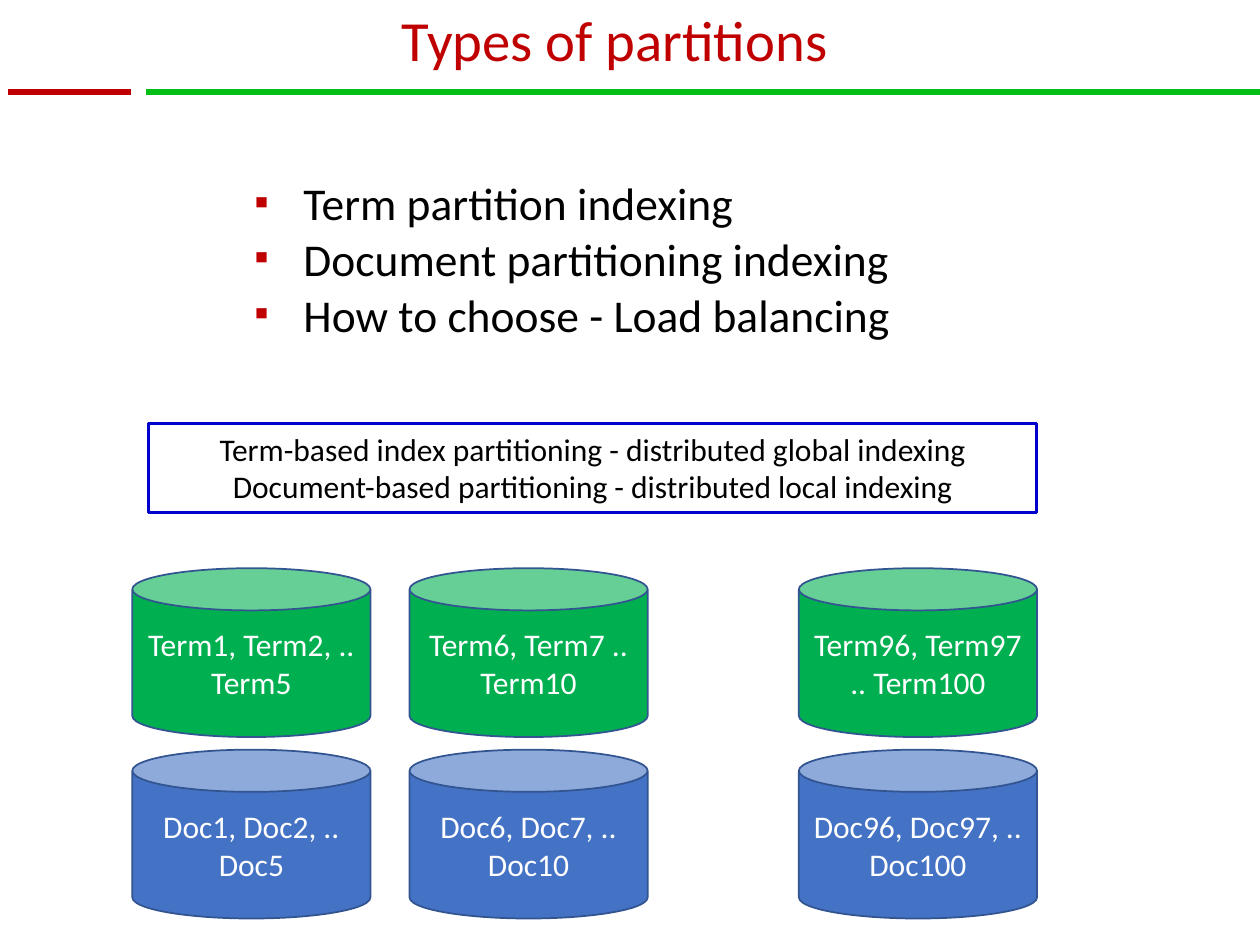
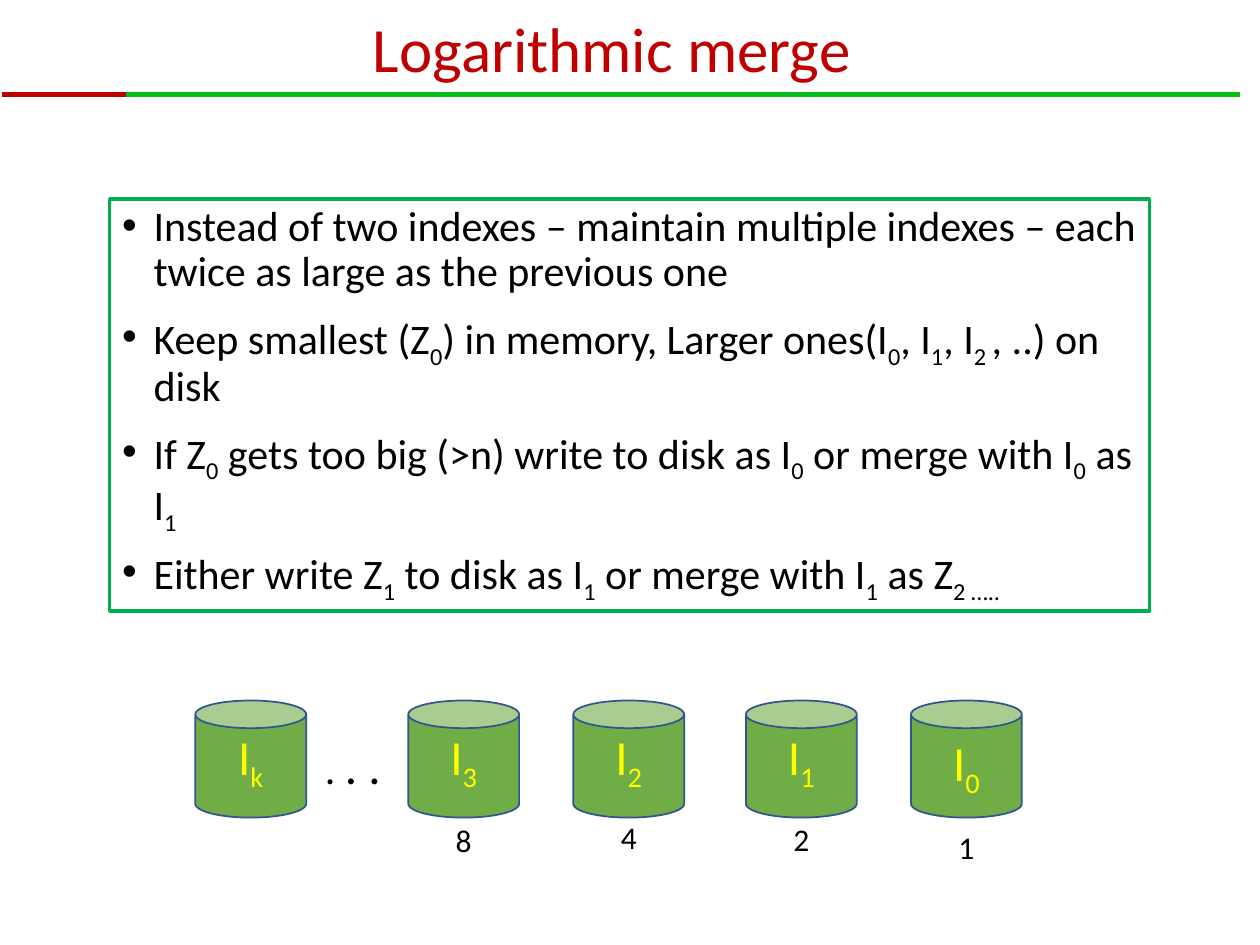
from lxml import etree
from pptx import Presentation
from pptx.dml.color import RGBColor
from pptx.enum.shapes import MSO_CONNECTOR, MSO_SHAPE
from pptx.enum.text import MSO_ANCHOR, MSO_AUTO_SIZE, PP_ALIGN
from pptx.oxml.ns import qn
from pptx.util import Inches, Pt

CAN, RECT = MSO_SHAPE.CAN, MSO_SHAPE.RECTANGLE
STRAIGHT = MSO_CONNECTOR.STRAIGHT
TOP, MIDDLE = MSO_ANCHOR.TOP, MSO_ANCHOR.MIDDLE
LEFT, CENTER = PP_ALIGN.LEFT, PP_ALIGN.CENTER
NO_FIT = MSO_AUTO_SIZE.NONE

FONT = "Calibri"
RED = RGBColor(0xC0, 0x00, 0x00)
RULE_GREEN = RGBColor(0x04, 0xC0, 0x16)
GREEN = RGBColor(0x00, 0xB0, 0x50)
LEAF = RGBColor(0x70, 0xAD, 0x47)
BLUE = RGBColor(0x44, 0x72, 0xC4)
NOTE_BLUE = RGBColor(0x00, 0x00, 0xCC)
EDGE = RGBColor(0x32, 0x54, 0x91)
YELLOW = RGBColor(0xFF, 0xFF, 0x00)
BLACK = RGBColor(0x00, 0x00, 0x00)
WHITE = RGBColor(0xFF, 0xFF, 0xFF)

SUB = "~"  # text between two of these marks is set as subscript
TITLE_FORMAT = {"alignment": LEFT, "line_spacing": 0.9}
TOPIC_FORMAT = {"line_spacing": 0.7, "space_before": Pt(10)}
STEP_FORMAT = {"line_spacing": 0.9, "space_before": Pt(10)}
CENTERED = {"alignment": CENTER}


def add_run(p, text, size, color):
    r = p.add_run()
    r.text = text
    r.font.name, r.font.size = FONT, Pt(size)
    r.font.color.rgb = color
    return r


def write(tf, lines, size, color, fmt, anchor=TOP):
    """Fill a text frame with one paragraph for each line."""
    for name, value in {"word_wrap": True, "auto_size": NO_FIT,
                        "vertical_anchor": anchor}.items():
        setattr(tf, name, value)
    for i, line in enumerate(lines):
        p = tf.add_paragraph() if i else tf.paragraphs[0]
        for name, value in fmt.items():
            setattr(p, name, value)
        for j, part in enumerate(line.split(SUB)):
            if part:
                r = add_run(p, part, size, color)
                if j % 2:
                    r._r.get_or_add_rPr().set("baseline", "-25000")


def add_bullets(tf, char, margin, hanging, color=None, percent=100):
    for p in tf.paragraphs:
        pPr = p._p.get_or_add_pPr()
        pPr.set("marL", str(Inches(margin)))
        pPr.set("indent", str(-Inches(hanging)))
        if color is not None:
            clr = etree.SubElement(pPr, qn("a:buClr"))
            etree.SubElement(clr, qn("a:srgbClr"), val=str(color))
        etree.SubElement(pPr, qn("a:buSzPct"), val=str(percent * 1000))
        etree.SubElement(pPr, qn("a:buFont"), typeface="Arial")
        etree.SubElement(pPr, qn("a:buChar"), char=char)


def add_box(slide, kind, box, fill, edge, weight):
    sp = slide.shapes.add_shape(kind, *map(Inches, box))
    sp.shadow.inherit = False
    if fill is None:
        sp.fill.background()
    else:
        sp.fill.solid()
        sp.fill.fore_color.rgb = fill
    sp.line.color.rgb, sp.line.width = edge, Pt(weight)
    return sp


def add_text(slide, box):
    return slide.shapes.add_textbox(*map(Inches, box)).text_frame


def add_header(prs, text, box, size, rule_y, rules):
    """Start a slide with its title and the two-coloured rule below."""
    slide = prs.slides.add_slide(prs.slide_layouts[5])
    title = slide.shapes.title
    title.left, title.top, title.width, title.height = map(Inches, box)
    write(title.text_frame, [text], size, RED, TITLE_FORMAT, MIDDLE)
    for (x1, x2), color in zip(rules, (RED, RULE_GREEN)):
        line = slide.shapes.add_connector(
            STRAIGHT, Inches(x1), Inches(rule_y), Inches(x2), Inches(rule_y))
        line.line.color.rgb, line.line.width = color, Pt(3.25)
        etree.SubElement(line._element.spPr, qn("a:effectLst"))
    return slide


def add_topics(slide, box, topics):
    tf = add_text(slide, box)
    write(tf, topics, 26, BLACK, TOPIC_FORMAT)
    add_bullets(tf, "▪", 0.69, 0.39, RED, 90)


def add_note(slide, box, lines):
    sp = add_box(slide, RECT, box, None, NOTE_BLUE, 1.75)
    write(sp.text_frame, lines, 18, BLACK, CENTERED)


def add_partitions(slide, box, rows):
    """Rows of cans, with a wider gap before the last column."""
    left, top, width, height = box
    can_w, can_h = 1.89, 1.34
    columns = (left, left + 2.2, left + width - can_w)
    pitch = height - can_h
    for i, (fill, labels) in enumerate(rows):
        for x, label in zip(columns, labels):
            sp = add_box(slide, CAN, (x, top + i * pitch, can_w, can_h), fill, EDGE, 1)
            write(sp.text_frame, [label], 18, WHITE, CENTERED, MIDDLE)


def add_steps(slide, box, steps):
    sp = add_box(slide, RECT, box, None, GREEN, 1.75)
    write(sp.text_frame, steps, 24, BLACK, {"alignment": LEFT, **STEP_FORMAT})
    add_bullets(sp.text_frame, "•", 0.25, 0.25)


def add_indexes(slide, box, indexes):
    """Row of index cans with their relative sizes underneath."""
    left, top, can_w, can_h = box
    for dx, name, lift, size, drop in indexes:
        x = left + dx
        sp = add_box(slide, CAN, (x, top, can_w, can_h), LEAF, EDGE, 1)
        sp.text_frame.margin_bottom = Inches(0.05 + lift)
        write(sp.text_frame, [f"I{SUB}{name}{SUB}"], 28, YELLOW, CENTERED, MIDDLE)
        if size:
            tf = add_text(slide, (x + (can_w - 0.55) / 2, top + drop, 0.55, 0.4))
            write(tf, [size], 18, BLACK, CENTERED)
    # Dots for the indexes left out
    tf = add_text(slide, (left + 0.93, top + 0.23, can_w, 0.57))
    tf.word_wrap = True
    for text, size in ((". ", 24), (". .", 28)):
        add_run(tf.paragraphs[0], text, size, BLACK)


def build_partition_types(prs):
    slide = add_header(prs, "Types of partitions", (3.09, 0.04, 4.09, 0.6), 32.4,
                       0.73, ((0.06, 1.04), (1.16, 10)))
    add_topics(slide, (1.62, 1.46, 6.52, 1.32), [
        "Term partition indexing",
        "Document partitioning indexing",
        "How to choose - Load balancing",
    ])
    add_partitions(slide, (1.05, 4.51, 7.18, 2.78), [
        (GREEN, ("Term1, Term2, .. Term5", "Term6, Term7 .. Term10",
                 "Term96, Term97 .. Term100")),
        (BLUE, ("Doc1, Doc2, .. Doc5", "Doc6, Doc7, .. Doc10",
                "Doc96, Doc97, .. Doc100")),
    ])
    add_note(slide, (1.18, 3.36, 7.05, 0.71), [
        "Term-based index partitioning - distributed global indexing",
        "Document-based partitioning - distributed local indexing",
    ])


def build_logarithmic_merge(prs):
    slide = add_header(prs, "Logarithmic merge", (2.86, 0.08, 4.67, 0.67), 36,
                       0.75, ((0.02, 1), (1, 9.84)))
    add_steps(slide, (0.87, 1.58, 8.25, 3.27), [
        "Instead of two indexes – maintain multiple indexes – each twice as large "
        "as the previous one",
        "Keep smallest (Z~0~) in memory, Larger ones(I~0~, I~1~, I~2 ~, ..) on disk",
        "If Z~0~ gets too big (>n) write to disk as I~0~ or merge with I~0~ as I~1~",
        "Either write Z~1~ to disk as I~1~ or merge with I~1~ as Z~2 …..~",
    ])
    # Offset, index, text lift, relative size, drop of the size label
    add_indexes(slide, (1.55, 5.56, 0.88, 0.93), [
        (0, "k", 0.1, "", 0),
        (1.69, "3", 0.1, "8", 0.91),
        (3, "2", 0.1, "4", 0.88),
        (4.37, "1", 0.1, "2", 0.9),
        (5.68, "0", 0, "1", 0.96),
    ])


def main():
    prs = Presentation()
    prs.slide_width, prs.slide_height = Inches(10), Inches(7.5)
    build_partition_types(prs)
    build_logarithmic_merge(prs)
    prs.save("out.pptx")


if __name__ == "__main__":
    main()
